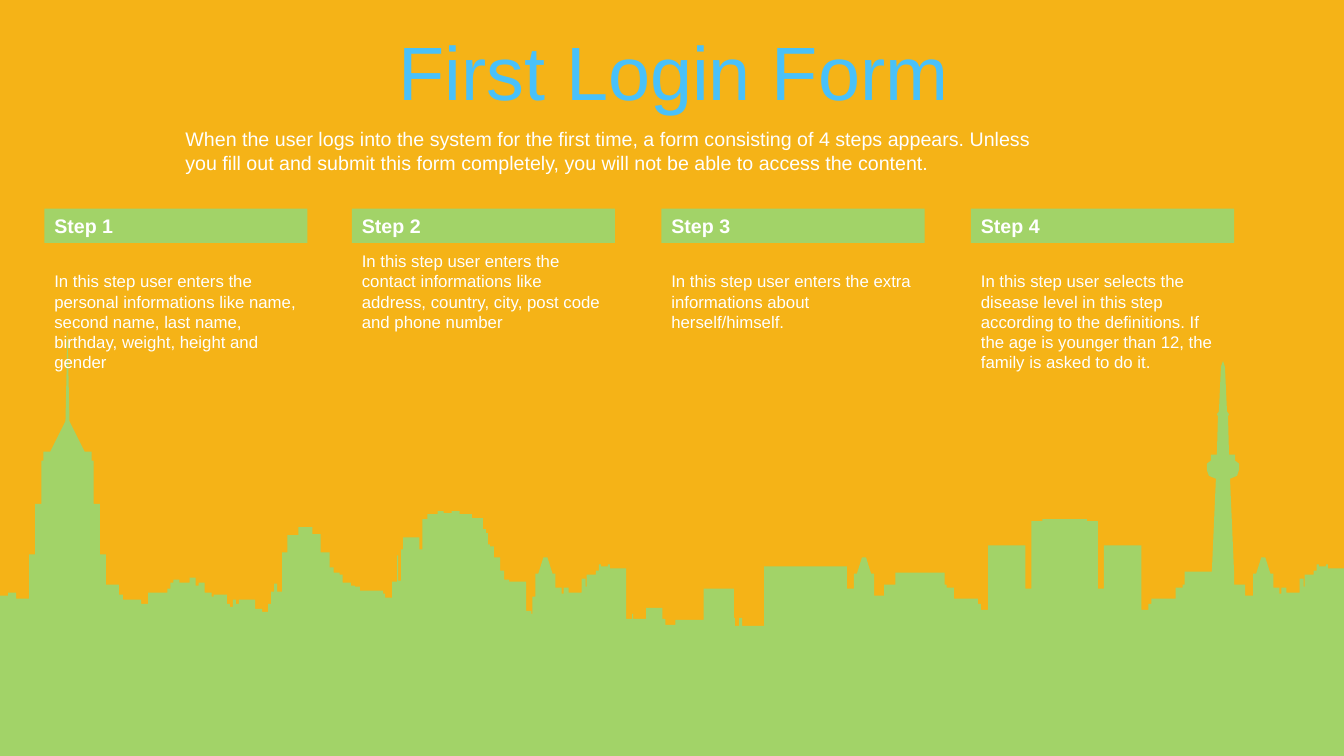
from pptx import Presentation
from pptx.dml.color import RGBColor
from pptx.enum.shapes import MSO_SHAPE as Shape
from pptx.enum.text import MSO_ANCHOR as Anchor, PP_ALIGN as Align
from pptx.util import Pt

# Content
TITLE = "First Login Form"
INTRO = ("When the user logs into the system for the first time, a form consisting of 4 steps "
         "appears. Unless you fill out and submit this form completely, you will not be able "
         "to access the content.")
# heading, left, text height, drop of the first line, description
STEPS = [
    ("Step 1", 44, 131, 20,
     "In this step user enters the personal informations like name, second name, last name, "
     "birthday, weight, height and gender"),
    ("Step 2", 349, 91, 0,
     "In this step user enters the contact informations like address, country, city, "
     "post code and phone number"),
    ("Step 3", 656, 91, 20,
     "In this step user enters the extra informations about herself/himself."),
    ("Step 4", 963, 131, 20,
     "In this step user selects the disease level in this step according to the definitions. "
     "If the age is younger than 12, the family is asked to do it."),
]

# Towers are symmetric: (distance from the axis, y), from the foot to the tip
SPIRE_TOWER = [(38, 594), (38, 550), (32, 550), (32, 500), (26, 500), (26, 457),
               (24, 457), (24, 448), (17, 448), (2, 418), (0, 328)]
TV_TOWER = [(11, 567), (7, 475), (14, 472), (16, 466), (16, 460), (12, 457), (12, 451),
            (6, 451), (5, 413), (6, 411), (4, 408), (2, 364), (0, 358)]
GABLE = [(10, 569), (7, 569), (2, 553)]

# Rows of flat roofs: (width, y), from left to right
LEFT_EDGE = [(8, 591), (8, 588), (13, 594)]
LOW_ROOFS = [(13, 580), (4, 590), (18, 595), (7, 599), (19, 588), (3, 584), (3, 578),
             (6, 575), (10, 578), (6, 573), (3, 581), (6, 578), (7, 588), (2, 592),
             (13, 590), (3, 599), (3, 602), (3, 595), (3, 599), (16, 595), (7, 604),
             (6, 607), (3, 599), (3, 587), (3, 579), (5, 587)]
STEPPED_BLOCK = [(5, 548), (11, 531), (14, 523), (8, 530), (9, 548), (4, 563), (6, 568),
                 (3, 570), (8, 578), (4, 581), (5, 582), (23, 586), (2, 589), (7, 593)]
DOMED_BLOCK = [(5, 577), (1, 551), (3, 576), (2, 545), (16, 533), (3, 545), (5, 515),
               (10, 510), (6, 507), (8, 509), (8, 507), (12, 510), (11, 514), (3, 525),
               (2, 529), (2, 540), (4, 542), (6, 553), (4, 566), (5, 575), (17, 577),
               (5, 606), (1, 609), (3, 592)]
HOUSES = [(6, 583), (2, 589), (5, 583), (13, 588), (4, 574), (1, 582), (9, 570),
          (3, 566), (2, 560), (7, 562), (2, 560), (16, 564)]
SHEDS = [(6, 614), (1, 609), (13, 614), (16, 603), (3, 614), (10, 620), (28, 615),
         (30, 584), (1, 613), (4, 621), (3, 613), (22, 621)]
WIDE_HALL = [(82, 562), (7, 584)]
TERRACE = [(10, 591), (11, 580), (49, 568)]
TOWER_WING = [(2, 580), (7, 583), (24, 594), (3, 599), (7, 605), (37, 541), (6, 584), (11, 517)]
TOWER_BLOCKS = TOWER_WING + [(44, 515)] + TOWER_WING[::-1]
TV_TOWER_LEFT, TV_TOWER_RIGHT = [(27, 567)], [(11, 580), (8, 591)]

# Style
PX = 9144
WIDTH, HEIGHT = 1333, 750
ORANGE, GREEN, BLUE, WHITE = "F5B317", "A2D368", "49C1F9", "FFFFFF"
TITLE_FONT = {"name": "Arial", "size": Pt(54), "bold": False}
HEADING_FONT = {"name": "Arial", "size": Pt(14), "bold": True}
INTRO_FONT = {"name": "Arial", "size": Pt(14), "bold": False}
BODY_FONT = {"name": "Arial", "size": Pt(12), "bold": False}
BAR_TOP, TEXT_TOP, COLUMN_WIDTH, BAR_HEIGHT = 207, 244, 261, 34


def roofs(left, row):
    """Each roof is a level line that starts where the last one ended."""
    points = []
    for width, y in row:
        points += [(left, y), (left + width, y)]
        left += width
    return points


def tower(left, profile):
    """The profile climbs on the left of the axis and comes down mirrored."""
    axis = left + profile[0][0]
    climb = [(axis - distance, y) for distance, y in profile]
    descent = [(axis + distance, y) for distance, y in reversed(profile)]
    return climb + descent


# Each part of the city starts where the part before it ends
CITY = [
    (roofs, LEFT_EDGE), (tower, SPIRE_TOWER), (roofs, LOW_ROOFS), (roofs, STEPPED_BLOCK),
    (roofs, DOMED_BLOCK), (tower, GABLE), (roofs, HOUSES), (roofs, SHEDS),
    (roofs, WIDE_HALL), (tower, GABLE), (roofs, TERRACE), (roofs, TOWER_BLOCKS),
    (roofs, TV_TOWER_LEFT), (tower, TV_TOWER), (roofs, TV_TOWER_RIGHT),
    (tower, GABLE), (roofs, HOUSES),
]


def color(value):
    return RGBColor.from_string(value)


def box(*lengths):
    return [length * PX for length in lengths]


def paint(shape, value):
    shape.shadow.inherit = False
    shape.fill.solid()
    shape.fill.fore_color.rgb = color(value)
    shape.line.fill.background()


def write(shape, text, font, text_color, align=Align.LEFT, anchor=Anchor.TOP, drop=0):
    frame = shape.text_frame
    frame.word_wrap = True
    frame.vertical_anchor = anchor
    frame.margin_top = (5 + drop) * PX
    paragraph = frame.paragraphs[0]
    paragraph.alignment = align
    run = paragraph.add_run()
    run.text = text
    for name, value in font.items():
        setattr(run.font, name, value)
    run.font.color.rgb = color(text_color)
    return paragraph


def add_skyline(shapes):
    outline = [(0, HEIGHT)]
    for draw, part in CITY:
        outline += draw(outline[-1][0], part)
    outline.append((WIDTH, HEIGHT))
    builder = shapes.build_freeform(*outline[0], scale=PX)
    builder.add_line_segments(outline[1:], close=True)
    paint(builder.convert_to_shape(), GREEN)


def add_step(shapes, heading, left, height, drop, description):
    bar = shapes.add_shape(Shape.RECTANGLE, *box(left, BAR_TOP, COLUMN_WIDTH, BAR_HEIGHT))
    paint(bar, GREEN)
    write(bar, heading, HEADING_FONT, WHITE)
    body = shapes.add_textbox(*box(left, TEXT_TOP, COLUMN_WIDTH, height))
    write(body, description, BODY_FONT, WHITE, drop=drop)


def main():
    presentation = Presentation()
    presentation.slide_width, presentation.slide_height = box(WIDTH, HEIGHT)
    slide = presentation.slides.add_slide(presentation.slide_layouts[5])
    slide.background.fill.solid()
    slide.background.fill.fore_color.rgb = color(ORANGE)
    shapes = slide.shapes

    # Skyline
    add_skyline(shapes)

    # Title and introduction
    title = shapes.title
    title.left, title.top, title.width, title.height = box(35, 36, 1266, 79)
    paragraph = write(title, TITLE, TITLE_FONT, BLUE, Align.CENTER, Anchor.MIDDLE)
    paragraph.line_spacing = 0.9
    write(shapes.add_textbox(*box(174, 121, 888, 57)), INTRO, INTRO_FONT, WHITE)

    # Steps
    for step in STEPS:
        add_step(shapes, *step)

    presentation.save("out.pptx")


if __name__ == "__main__":
    main()
